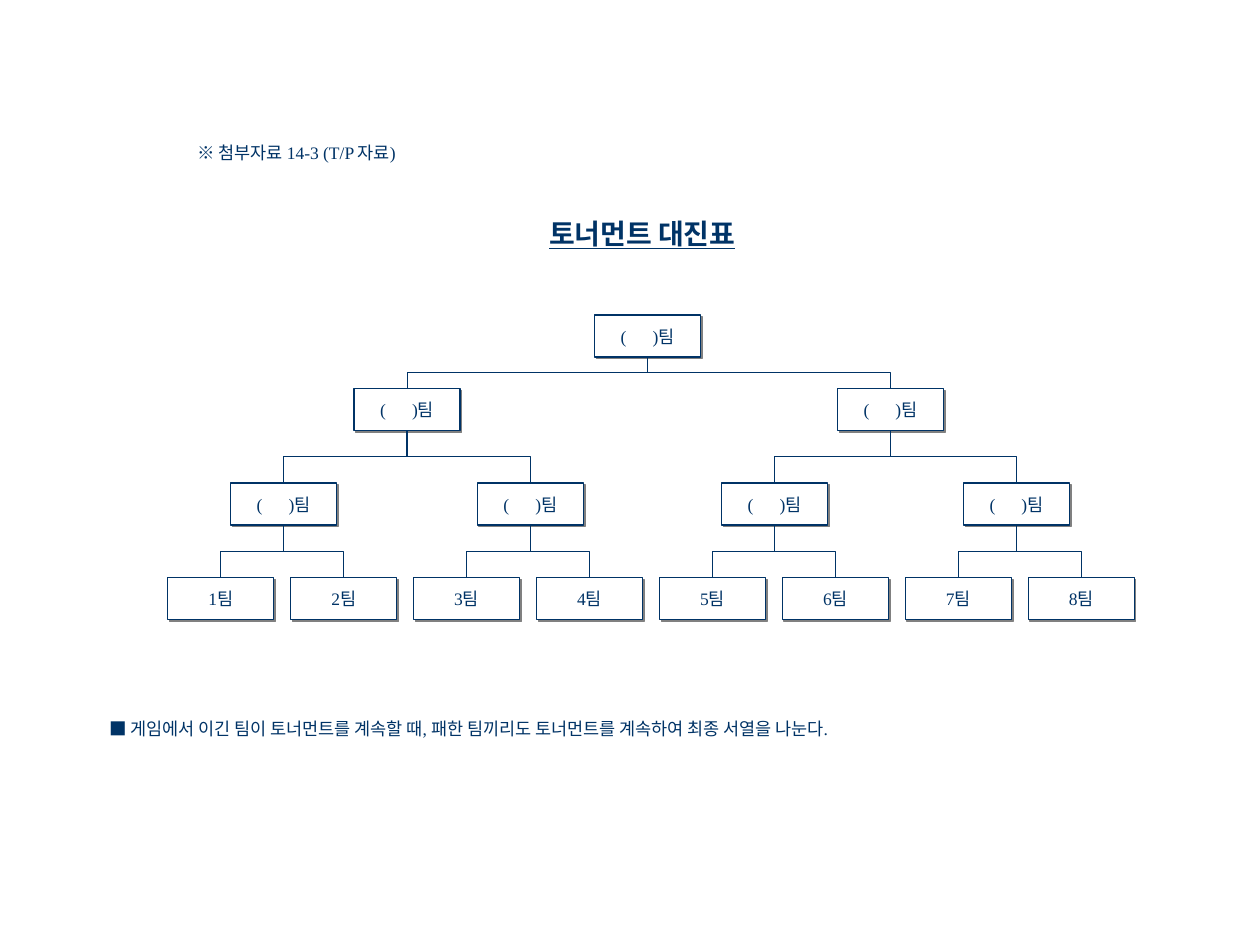
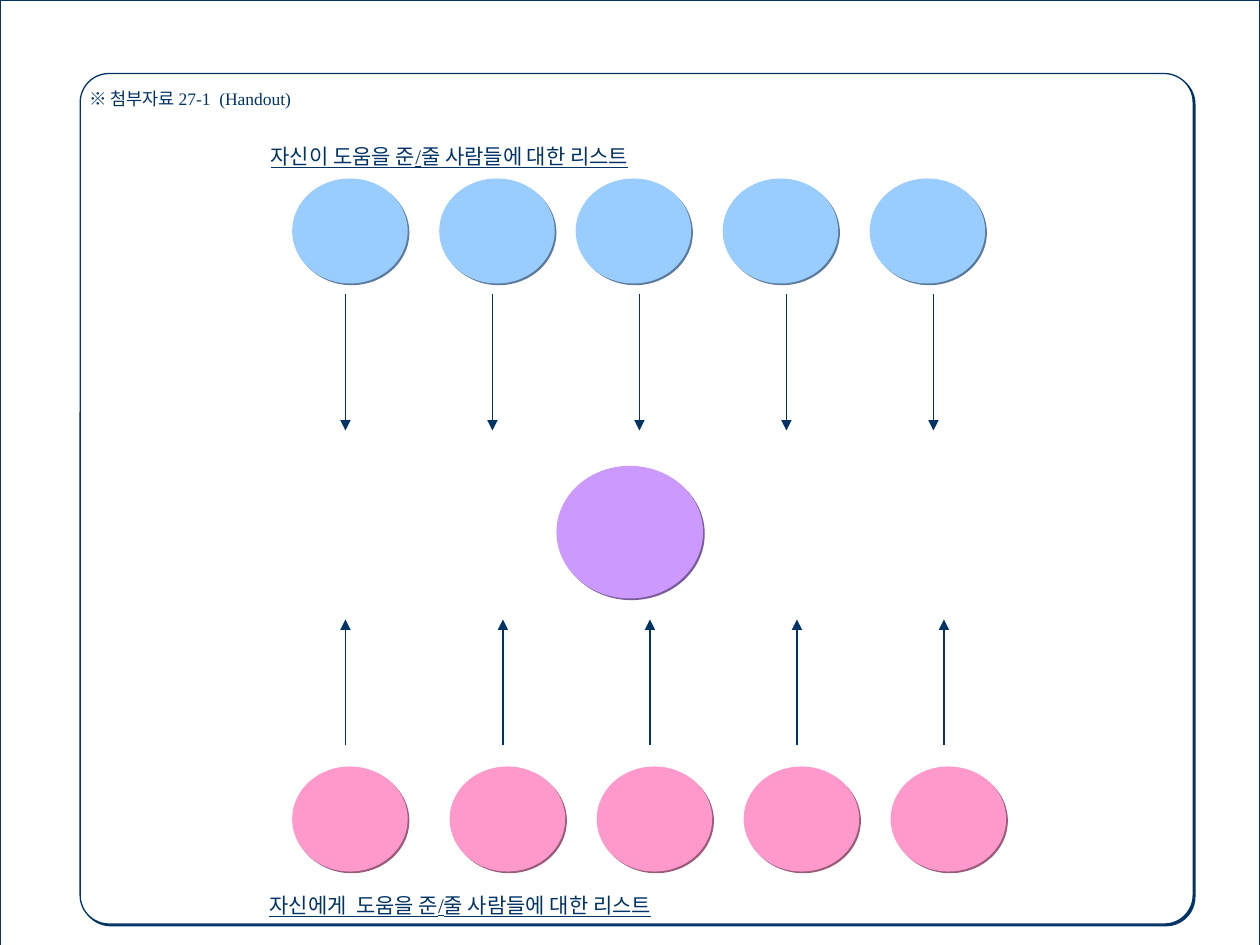
from dataclasses import dataclass
from typing import Optional

from lxml.etree import SubElement
from pptx import Presentation
from pptx.dml.color import RGBColor
from pptx.enum.shapes import MSO_CONNECTOR as Connector, MSO_SHAPE as Preset
from pptx.enum.text import MSO_ANCHOR as Anchor, MSO_AUTO_SIZE as AutoSize, PP_ALIGN as Align
from pptx.oxml.ns import qn
from pptx.util import Pt


@dataclass(frozen=True)
class Theme:
    font: str = "Times New Roman"
    ink: str = "003366"
    paper: str = "FFFFFF"
    box_shadow: str = "808080"
    blue: str = "99CCFF"
    blue_shadow: str = "5C7A99"
    pink: str = "FF99CC"
    pink_shadow: str = "995C7A"
    violet: str = "CC99FF"
    violet_shadow: str = "7A5C99"
    body_size: float = 10
    heading_size: float = 12
    title_size: float = 16
    line_width: float = 0.75
    shadow_distance: float = 1.4


@dataclass(frozen=True)
class Area:
    left: float
    top: float
    width: float
    height: float

    def lengths(self) -> tuple:
        return Pt(self.left), Pt(self.top), Pt(self.width), Pt(self.height)


@dataclass(frozen=True)
class Label:
    text: str
    area: Area
    size: float
    bold: bool = False
    underline: bool = False


@dataclass(frozen=True)
class Round:
    top: float
    lefts: list
    names: list


@dataclass(frozen=True)
class CircleRow:
    lefts: list
    top: float
    fill: str
    shadow: str


@dataclass(frozen=True)
class ArrowRow:
    centers: list
    start: float
    end: float


THEME = Theme()
TEAM_WIDTH, TEAM_HEIGHT = 60.5, 24
CIRCLE_WIDTH, CIRCLE_HEIGHT = 66, 60
PEOPLE, PEOPLE_STEP = 5, 84
OPEN_TEAM = "(      )팀"


def people_row(start: float, shift_from: int = PEOPLE, shift: float = 0) -> list:
    return [start + PEOPLE_STEP * i + (shift if i >= shift_from else 0) for i in range(PEOPLE)]


ROUNDS = [
    Round(180, [339.8], [OPEN_TEAM]),
    Round(222, [202.4, 478.6], [OPEN_TEAM] * 2),
    Round(276, [131.8, 272.8, 412.4, 550.6], [OPEN_TEAM] * 4),
    Round(330, [95.9 + 70.25 * i for i in range(8)], [f"{i + 1}팀" for i in range(8)]),
]

BRACKET_LABELS = [
    Label("※ 첨부자료 14-3 (T/P 자료)", Area(105.8, 77.8, 139.7, 19.4), THEME.body_size),
    Label("토너먼트 대진표", Area(306.7, 120, 127.4, 26.6), THEME.title_size, True, True),
    Label("■ 게임에서 이긴 팀이 토너먼트를 계속할 때, 패한 팀끼리도 토너먼트를 계속하여 최종 서열을 나눈다.",
          Area(55.4, 406.8, 460.8, 19.4), THEME.body_size),
]

HELP_LABELS = [
    Label("자신이 도움을 준/줄 사람들에 대한 리스트",
          Area(147.6, 78.5, 242.6, 21.6), THEME.heading_size, underline=True),
    Label("자신에게  도움을 준/줄 사람들에 대한 리스트",
          Area(146.9, 506.2, 257.8, 21.6), THEME.heading_size, underline=True),
    Label("※ 첨부자료 27-1  (Handout)", Area(43.9, 46.8, 138.2, 19.4), THEME.body_size),
]

CIRCLE_ROWS = [
    CircleRow(people_row(167, 2, -6), 102, THEME.blue, THEME.blue_shadow),
    CircleRow(people_row(167, 1, 6), 438, THEME.pink, THEME.pink_shadow),
]

ARROW_ROWS = [
    ArrowRow(people_row(197.4), 168, 246),
    ArrowRow(people_row(197.4, 1, 6), 426, 354),
]


def color(value: str) -> RGBColor:
    return RGBColor.from_string(value)


def format_text(text_frame, text: str, size: float, bold: bool = False, underline: bool = False) -> None:
    text_frame.text = text
    text_frame.word_wrap = False
    for run in text_frame.paragraphs[0].runs:
        run.font.name = THEME.font
        run.font.size = Pt(size)
        run.font.bold = bold
        run.font.underline = underline
        run.font.color.rgb = color(THEME.ink)


def format_line(line) -> None:
    line.color.rgb = color(THEME.ink)
    line.width = Pt(THEME.line_width)


def add_shape(slide, preset, area: Area, fill: str, outlined: bool = False, shadow: Optional[str] = None):
    shape = slide.shapes.add_shape(preset, *area.lengths())
    shape.fill.solid()
    shape.fill.fore_color.rgb = color(fill)
    if outlined:
        format_line(shape.line)
    else:
        shape.line.fill.background()
    shape.shadow.inherit = False
    if shadow:
        effects = shape._element.spPr.find(qn("a:effectLst"))
        outer = SubElement(effects, qn("a:outerShdw"), dist=str(Pt(THEME.shadow_distance)),
                           dir="2700000", algn="ctr", rotWithShape="0")
        SubElement(outer, qn("a:srgbClr"), val=shadow)
    return shape


def add_label(slide, label: Label) -> None:
    text_box = slide.shapes.add_textbox(*label.area.lengths())
    format_text(text_box.text_frame, label.text, label.size, label.bold, label.underline)
    text_box.text_frame.auto_size = AutoSize.SHAPE_TO_FIT_TEXT


def add_team(slide, name: str, left: float, top: float):
    shape = add_shape(slide, Preset.RECTANGLE, Area(left, top, TEAM_WIDTH, TEAM_HEIGHT),
                      THEME.paper, True, THEME.box_shadow)
    format_text(shape.text_frame, name, THEME.body_size)
    shape.text_frame.vertical_anchor = Anchor.MIDDLE
    shape.text_frame.paragraphs[0].alignment = Align.CENTER
    return shape


def add_line(slide, kind, start_x: int, start_y: int, end_x: int, end_y: int):
    connector = slide.shapes.add_connector(kind, start_x, start_y, end_x, end_y)
    format_line(connector.line)
    SubElement(connector._element.spPr, qn("a:effectLst"))
    return connector


def add_branch(slide, parent, child) -> None:
    start_x, end_x = (team.left + team.width // 2 for team in (parent, child))
    start_y, end_y = parent.top + parent.height, child.top
    connector = add_line(slide, Connector.ELBOW, start_x, start_y, end_x, end_y)
    connector.begin_connect(parent, 2)
    connector.end_connect(child, 0)
    width, height = end_y - start_y, abs(end_x - start_x)
    connector.left = (start_x + end_x - width) // 2
    connector.top = (start_y + end_y - height) // 2
    connector.width, connector.height = width, height
    to_right = end_x > start_x
    frame = connector._element.spPr.find(qn("a:xfrm"))
    frame.set("rot", "16200000" if to_right else "5400000")
    frame.set("flipH", "1" if to_right else "0")


def add_arrow(slide, center: float, start: float, end: float) -> None:
    connector = add_line(slide, Connector.STRAIGHT, Pt(center), Pt(start), Pt(center), Pt(end))
    SubElement(connector.line._get_or_add_ln(), qn("a:tailEnd"), type="triangle")


def build_bracket(slide) -> None:
    parents = []
    for level in ROUNDS:
        teams = [add_team(slide, name, left, level.top) for name, left in zip(level.names, level.lefts)]
        if parents:
            for index, team in enumerate(teams):
                add_branch(slide, parents[index // 2], team)
        parents = teams
    for label in BRACKET_LABELS:
        add_label(slide, label)


def build_help_map(slide) -> None:
    add_shape(slide, Preset.RECTANGLE, Area(0, 0, 720, 552), THEME.paper, True)
    frame = add_shape(slide, Preset.ROUNDED_RECTANGLE, Area(45.8, 42, 636, 486),
                      THEME.paper, True, THEME.ink)
    frame.adjustments[0] = 0.034
    for row in CIRCLE_ROWS:
        for left in row.lefts:
            add_shape(slide, Preset.OVAL, Area(left, row.top, CIRCLE_WIDTH, CIRCLE_HEIGHT),
                      row.fill, shadow=row.shadow)
    add_shape(slide, Preset.OVAL, Area(318, 266.2, 83.8, 75.8), THEME.violet, shadow=THEME.violet_shadow)
    for row in ARROW_ROWS:
        for center in row.centers:
            add_arrow(slide, center, row.start, row.end)
    for label in HELP_LABELS:
        add_label(slide, label)


def main() -> None:
    presentation = Presentation()
    presentation.slide_width, presentation.slide_height = Pt(720), Pt(540)
    for build in (build_bracket, build_help_map):
        slide = presentation.slides.add_slide(presentation.slide_layouts[6])
        slide.background.fill.solid()
        slide.background.fill.fore_color.rgb = color(THEME.paper)
        build(slide)
    presentation.save("out.pptx")


if __name__ == "__main__":
    main()
